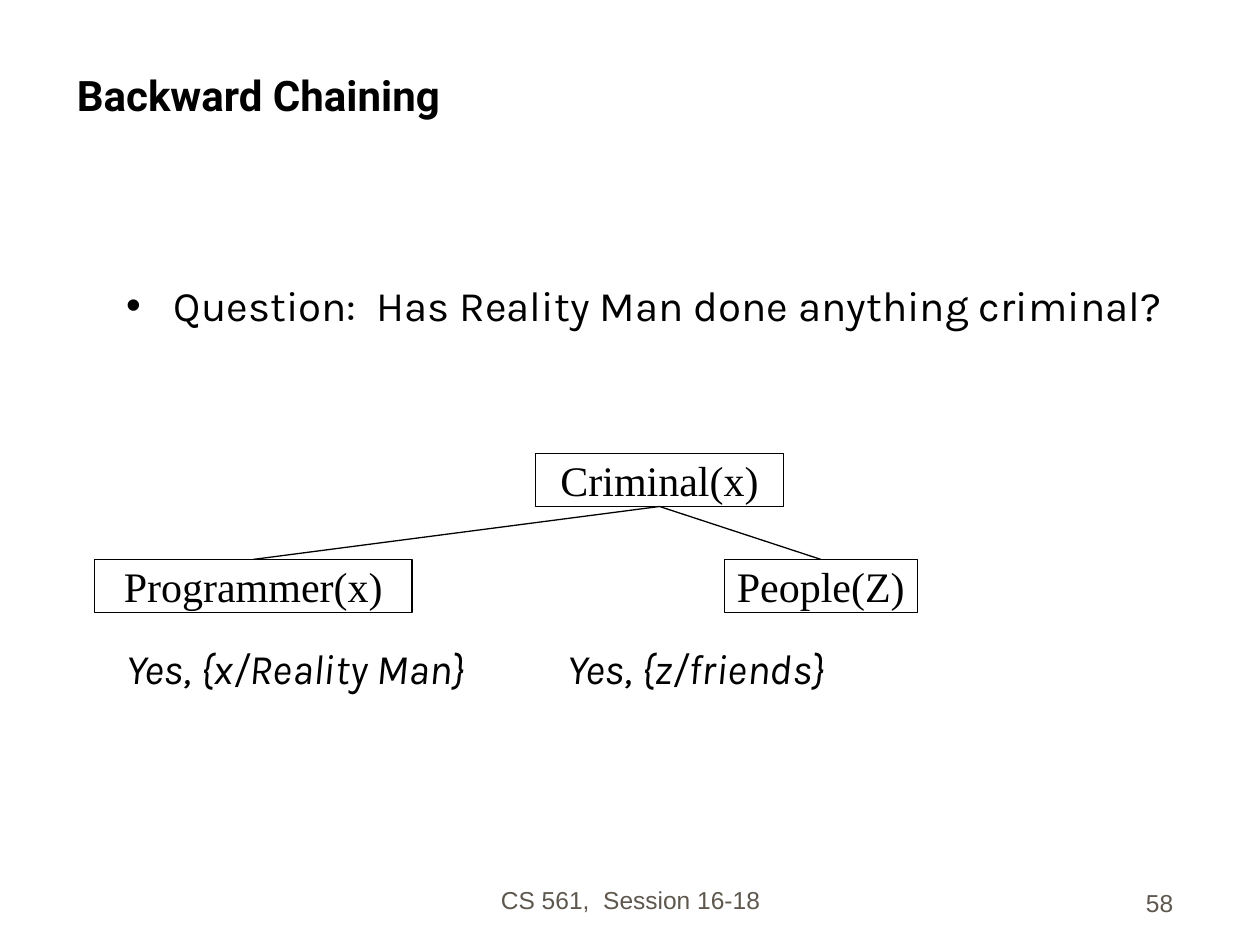
from lxml import etree
from pptx import Presentation
from pptx.dml.color import RGBColor
from pptx.enum import shapes, text
from pptx.oxml import ns
from pptx.util import Inches, Pt

BLACK = RGBColor(0x00, 0x00, 0x00)
GREY = RGBColor(0x5E, 0x57, 0x4E)

# Content
TITLE = "Backward Chaining"
QUESTION = "Question:  Has Reality Man done anything criminal?"
ANSWERS = "Yes, {x/Reality Man} \t\tYes, {z/friends}"
ANSWER_TABS = (3.38, 4.38)
NODE_HEIGHT = 0.42
ROOT = ("Criminal(x)", 4.25, 3.6, 1.97)  # label, left, top, width
CHILDREN = [("Programmer(x)", 0.75, 4.44, 2.52), ("People(Z)", 5.75, 4.44, 1.53)]
FOOTERS = [  # wording, place, alignment
    ("CS 561,  Session 16-18", (3.42, 6.81, 3.17, 0.5), text.PP_ALIGN.CENTER),
    ("58", (7.33, 6.83, 2.08, 0.5), text.PP_ALIGN.RIGHT),
]


def style(para, name, size, color=BLACK, **flags):
    for span in para.runs:
        span.font.name, span.font.size = name, Pt(size)
        span.font.color.rgb = color
        for flag, value in flags.items():
            setattr(span.font, flag, value)


def place(box, left, top, width, height):
    box.left, box.top = Inches(left), Inches(top)
    box.width, box.height = Inches(width), Inches(height)


def add_node(page, label, left, top, width):
    box = page.shapes.add_shape(shapes.MSO_SHAPE.RECTANGLE, Inches(left), Inches(top),
                                Inches(width), Inches(NODE_HEIGHT))
    box.shadow.inherit = False
    box.fill.background()
    box.line.color.rgb, box.line.width = BLACK, Pt(0.75)
    frame = box.text_frame
    frame.text = label
    frame.word_wrap = False
    frame.vertical_anchor = text.MSO_ANCHOR.MIDDLE
    frame.paragraphs[0].alignment = text.PP_ALIGN.CENTER
    style(frame.paragraphs[0], "Times New Roman", 24)
    return box


def add_branch(page, parent, child):
    branch = page.shapes.add_connector(shapes.MSO_CONNECTOR.STRAIGHT, 0, 0, 0, 0)
    branch.begin_connect(parent, 2)  # bottom centre
    branch.end_connect(child, 0)  # top centre
    branch.line.color.rgb, branch.line.width = BLACK, Pt(0.75)
    etree.SubElement(branch.element.spPr, ns.qn("a:effectLst"))


deck = Presentation()
deck.slide_width, deck.slide_height = Inches(10), Inches(7.5)
page = deck.slides.add_slide(deck.slide_layouts[1])

# Title
title = page.shapes.title
place(title, 0.51, 0.25, 8.92, 0.75)
title.text_frame.text = TITLE
title.text_frame.vertical_anchor = text.MSO_ANCHOR.BOTTOM
title.text_frame.auto_size = text.MSO_AUTO_SIZE.NONE
title.text_frame.paragraphs[0].alignment = text.PP_ALIGN.LEFT
style(title.text_frame.paragraphs[0], "Roboto", 24, bold=True)

# Question and answers
body = page.placeholders[1]
place(body, 0.9, 2.21, 8.89, 4.5)
frame = body.text_frame
frame.auto_size = text.MSO_AUTO_SIZE.NONE
frame.text = QUESTION
question, answers = frame.paragraphs[0], frame.add_paragraph()
answers.text = ANSWERS
for para, gap, indent in ((question, 0, 0.38), (answers, 182, 0)):
    para.line_spacing, para.space_before = 0.9, Pt(gap)
    props = para._p.get_or_add_pPr()
    props.set("marL", str(Inches(indent)))
    props.set("indent", str(-Inches(indent)))
    if indent:
        etree.SubElement(props, ns.qn("a:buChar"), char="•")
    else:
        etree.SubElement(props, ns.qn("a:buNone"))
        stops = etree.SubElement(props, ns.qn("a:tabLst"))
        for stop in ANSWER_TABS:
            etree.SubElement(stops, ns.qn("a:tab"), pos=str(Inches(stop)), algn="l")
style(question, "Karla", 24)
style(answers, "Karla", 24, italic=True)

# Proof tree
root = add_node(page, *ROOT)
for child in CHILDREN:
    add_branch(page, root, add_node(page, *child))

# Footer
for wording, spot, alignment in FOOTERS:
    box = page.shapes.add_textbox(*map(Inches, spot))
    box.text_frame.text = wording
    box.text_frame.word_wrap = True
    box.text_frame.vertical_anchor = text.MSO_ANCHOR.BOTTOM
    box.text_frame.paragraphs[0].alignment = alignment
    style(box.text_frame.paragraphs[0], "Arial", 14, GREY)

deck.save("out.pptx")
